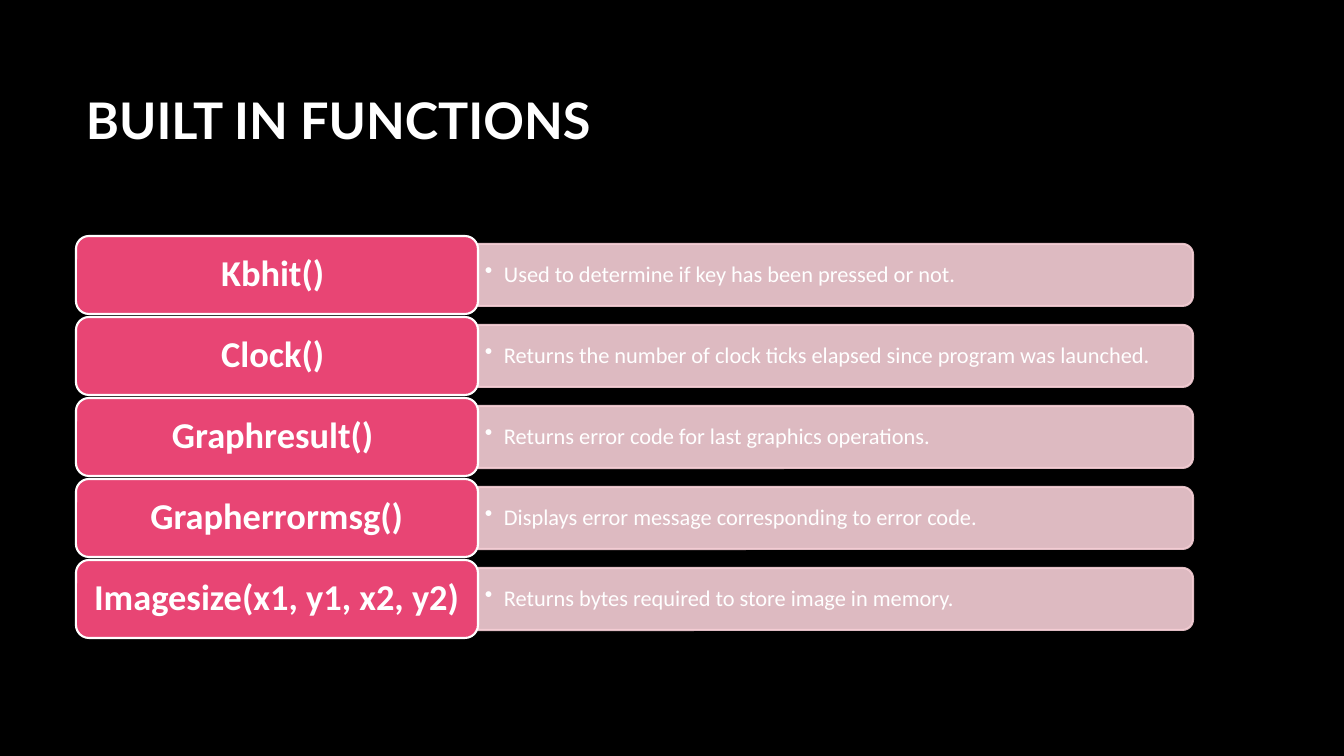
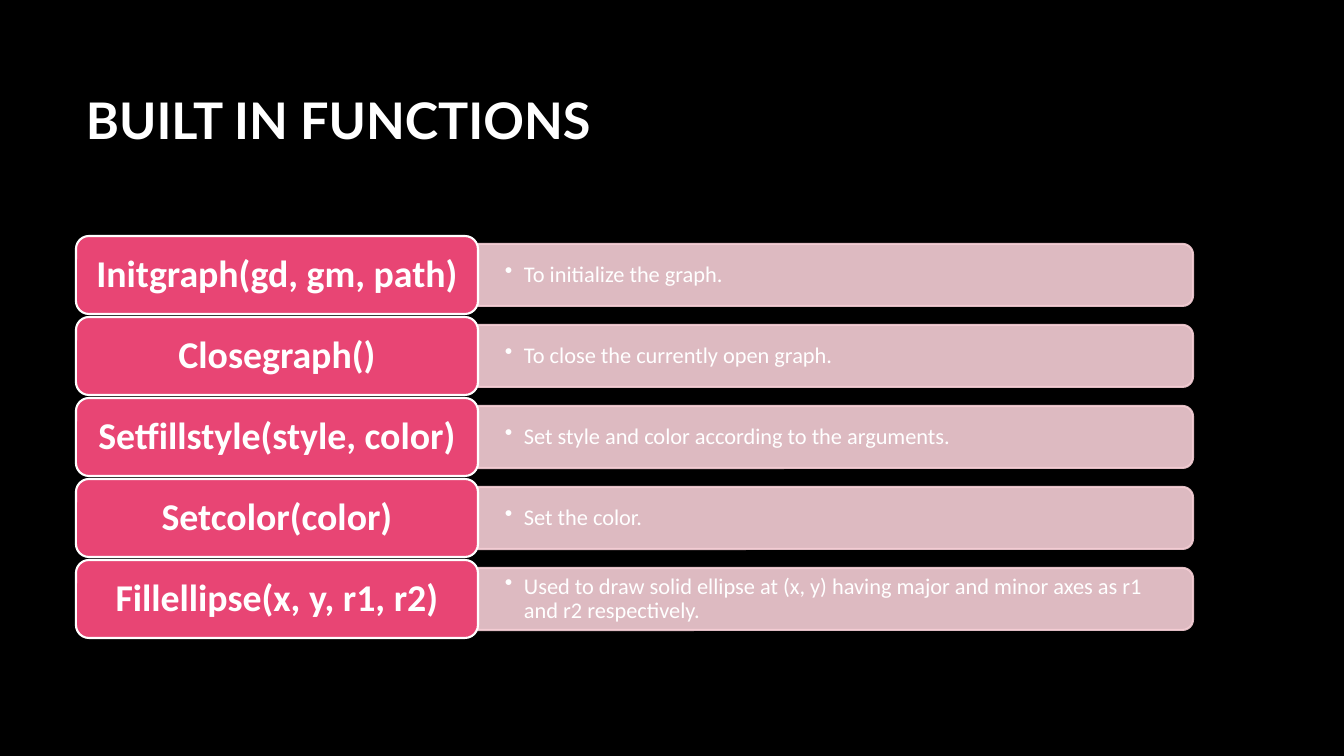
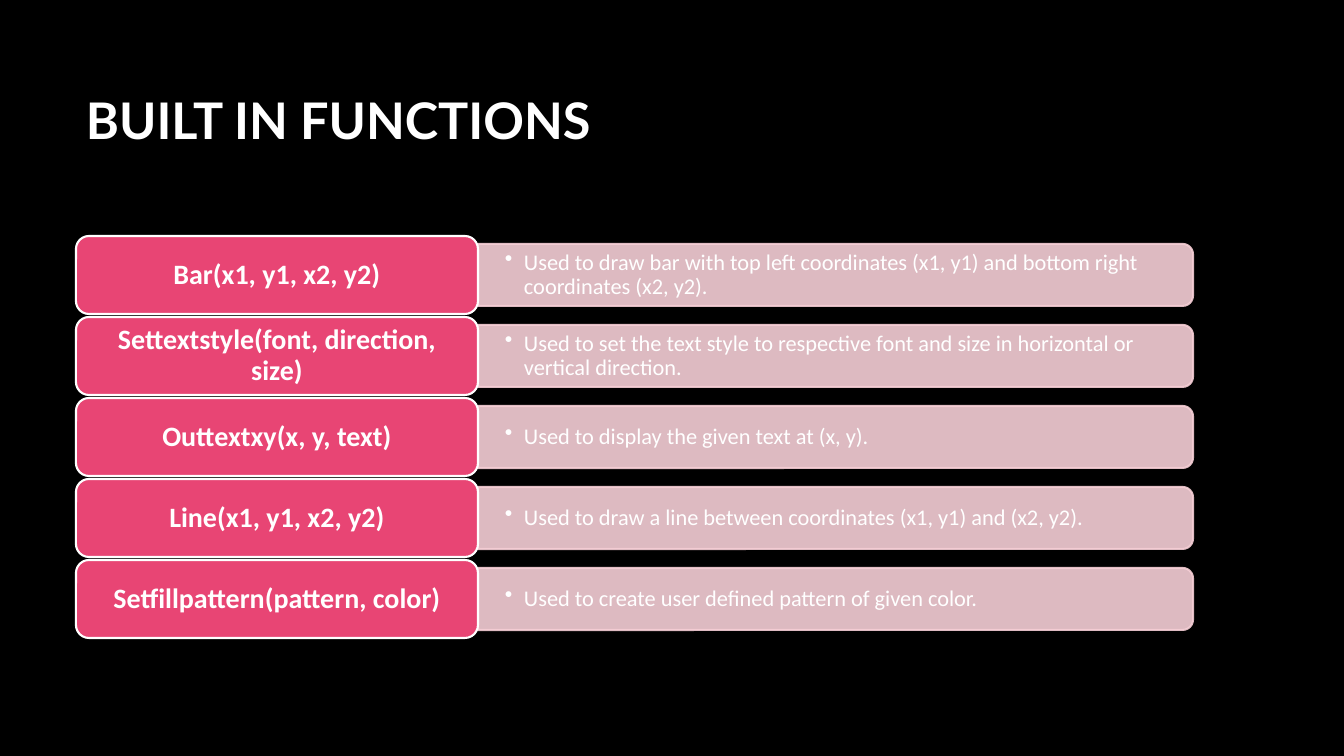
from dataclasses import dataclass

from lxml.etree import SubElement
from pptx import Presentation
from pptx.dml.color import RGBColor
from pptx.enum.shapes import MSO_SHAPE
from pptx.enum.text import MSO_ANCHOR, MSO_AUTO_SIZE, PP_ALIGN
from pptx.oxml.ns import qn
from pptx.util import Emu, Inches, Pt

SCALE = Inches(1) / 100.8


@dataclass(frozen=True)
class Theme:
    """Colours, fonts and type sizes shared by the slides."""
    background: str = "000000"
    text: str = "FFFFFF"
    label: str = "E84574"
    bar: str = "F6CFD6"
    bar_opacity: int = 90
    outline: float = 1.5
    title_font: str = "Lato"
    body_font: str = "Calibri"
    title_size: int = 36
    bar_size: int = 16
    line_spacing: float = 0.9


@dataclass(frozen=True)
class Box:
    """A rectangle in pixels."""
    left: float
    top: float
    width: float
    height: float

    def emu(self):
        """Return left, top, width and height in EMU."""
        return [pixels(n) for n in (self.left, self.top, self.width, self.height)]

    def centred(self, width, height):
        """Return a box of the given size about the same centre."""
        return Box(self.left + (self.width - width) / 2,
                   self.top + (self.height - height) / 2, width, height)


THEME = Theme()
TITLE_BOX = Box(76, 68, 1117, 160)
LIST_BOX = Box(76, 236, 1117, 402)
LABEL_WIDTH, LABEL_HEIGHT, BAR_HEIGHT = 402, 78, 62
BULLET_INDENT = 19

SLIDES = [
    (26, (7, 3), [
        ("Kbhit() ", "Used to determine if key has been pressed or not."),
        ("Clock() ", "Returns the number of clock ticks elapsed since program was launched."),
        ("Graphresult() ", "Returns error code for last graphics operations."),
        ("Grapherrormsg()", "Displays error message corresponding to error code."),
        ("Imagesize(x1, y1, x2, y2)", "Returns bytes required to store image in memory."),
    ]),
    (27, (27, 14), [
        ("Initgraph(gd, gm, path)", "To initialize the graph."),
        ("Closegraph()", "To close the currently open graph."),
        ("Setfillstyle(style, color)", "Set style and color according to the arguments."),
        ("Setcolor(color)", "Set the color."),
        ("Fillellipse(x, y, r1, r2)",
         "Used to draw solid ellipse at (x, y) having major and minor axes as r1 and r2 respectively."),
    ]),
    (20, (27, 14), [
        ("Bar(x1, y1, x2, y2)",
         "Used to draw bar with top left coordinates (x1, y1) and bottom right coordinates (x2, y2)."),
        ("Settextstyle(font, direction, size)",
         "Used to set the text style to respective font and size in horizontal or vertical direction."),
        ("Outtextxy(x, y, text)", "Used to display the given text at (x, y)."),
        ("Line(x1, y1, x2, y2)", "Used to draw a line between coordinates (x1, y1) and (x2, y2)."),
        ("Setfillpattern(pattern, color)", "Used to create user defined pattern of given color."),
    ]),
]


def pixels(length):
    """Turn pixels into EMU."""
    return Emu(round(length * SCALE))


def write(shape, text, size, font, bold, alignment, insets):
    """Fill a shape with one middle-anchored paragraph and return it."""
    frame = shape.text_frame
    frame.word_wrap = True
    frame.auto_size = MSO_AUTO_SIZE.NONE
    frame.vertical_anchor = MSO_ANCHOR.MIDDLE
    (frame.margin_left, frame.margin_top,
     frame.margin_right, frame.margin_bottom) = map(pixels, insets)
    paragraph = frame.paragraphs[0]
    paragraph.alignment = alignment
    run = paragraph.add_run()
    run.text = text
    run.font.name, run.font.size, run.font.bold = font, Pt(size), bold
    run.font.color.rgb = RGBColor.from_string(THEME.text)
    return paragraph


def add_panel(slide, preset, box, fill, line):
    """Add a flat filled shape with an outline."""
    shape = slide.shapes.add_shape(preset, *box.emu())
    shape.shadow.inherit = False
    shape.fill.solid()
    shape.fill.fore_color.rgb = RGBColor.from_string(fill)
    shape.line.color.rgb = RGBColor.from_string(line)
    shape.line.width = Pt(THEME.outline)
    return shape


def add_title(slide, box, text):
    """Place and format the title placeholder."""
    title = slide.shapes.title
    title.left, title.top, title.width, title.height = box.emu()
    write(title, text, THEME.title_size, THEME.title_font, True,
          PP_ALIGN.LEFT, (10, 5, 10, 63))


def add_description(slide, box, text, insets):
    """Add a translucent bar, rounded on the right, with bulleted text."""
    bar = add_panel(slide, MSO_SHAPE.ROUND_2_SAME_RECTANGLE,
                    box.centred(box.height, box.width), THEME.bar, THEME.bar)
    bar.rotation = 90
    for colour in bar.element.spPr.iter(qn("a:srgbClr")):
        SubElement(colour, qn("a:alpha")).set("val", str(THEME.bar_opacity * 1000))
    text_box = Box(box.left, box.top + 3, box.width - 3, box.height - 6)
    caption = slide.shapes.add_textbox(*text_box.emu())
    paragraph = write(caption, text, THEME.bar_size, THEME.body_font, False,
                      PP_ALIGN.LEFT, insets * 2)
    paragraph.line_spacing = THEME.line_spacing
    properties = paragraph._p.get_or_add_pPr()
    properties.set("marL", str(pixels(BULLET_INDENT)))
    properties.set("indent", str(-pixels(BULLET_INDENT)))
    SubElement(properties, qn("a:buChar")).set("char", "•")


def add_label(slide, box, text, size):
    """Add a rounded label holding a function name."""
    label = add_panel(slide, MSO_SHAPE.ROUNDED_RECTANGLE, box, THEME.label, THEME.text)
    paragraph = write(label, text, size, THEME.body_font, True,
                      PP_ALIGN.CENTER, (11, 5, 11, 5))
    paragraph.line_spacing = THEME.line_spacing


def add_function_list(slide, box, functions, label_size, insets):
    """Spread rows of label and description evenly over the box."""
    pitch = (box.height - LABEL_HEIGHT) / (len(functions) - 1)
    bar_offset = (LABEL_HEIGHT - BAR_HEIGHT) / 2
    for index, (name, description) in enumerate(functions):
        top = box.top + index * pitch
        bar_box = Box(box.left + LABEL_WIDTH, top + bar_offset,
                      box.width - LABEL_WIDTH, BAR_HEIGHT)
        add_description(slide, bar_box, description, insets)
        add_label(slide, Box(box.left, top, LABEL_WIDTH, LABEL_HEIGHT), name, label_size)


def add_function_slide(presentation, label_size, insets, functions):
    """Add one slide with a title and a function list."""
    slide = presentation.slides.add_slide(presentation.slide_layouts[5])
    add_title(slide, TITLE_BOX, "BUILT IN FUNCTIONS")
    add_function_list(slide, LIST_BOX, functions, label_size, insets)


def main():
    """Build and save the presentation."""
    presentation = Presentation()
    presentation.slide_width, presentation.slide_height = pixels(1344), pixels(756)
    background = presentation.slide_master.background.fill
    background.solid()
    background.fore_color.rgb = RGBColor.from_string(THEME.background)
    for label_size, insets, functions in SLIDES:
        add_function_slide(presentation, label_size, insets, functions)
    presentation.save("out.pptx")


main()
